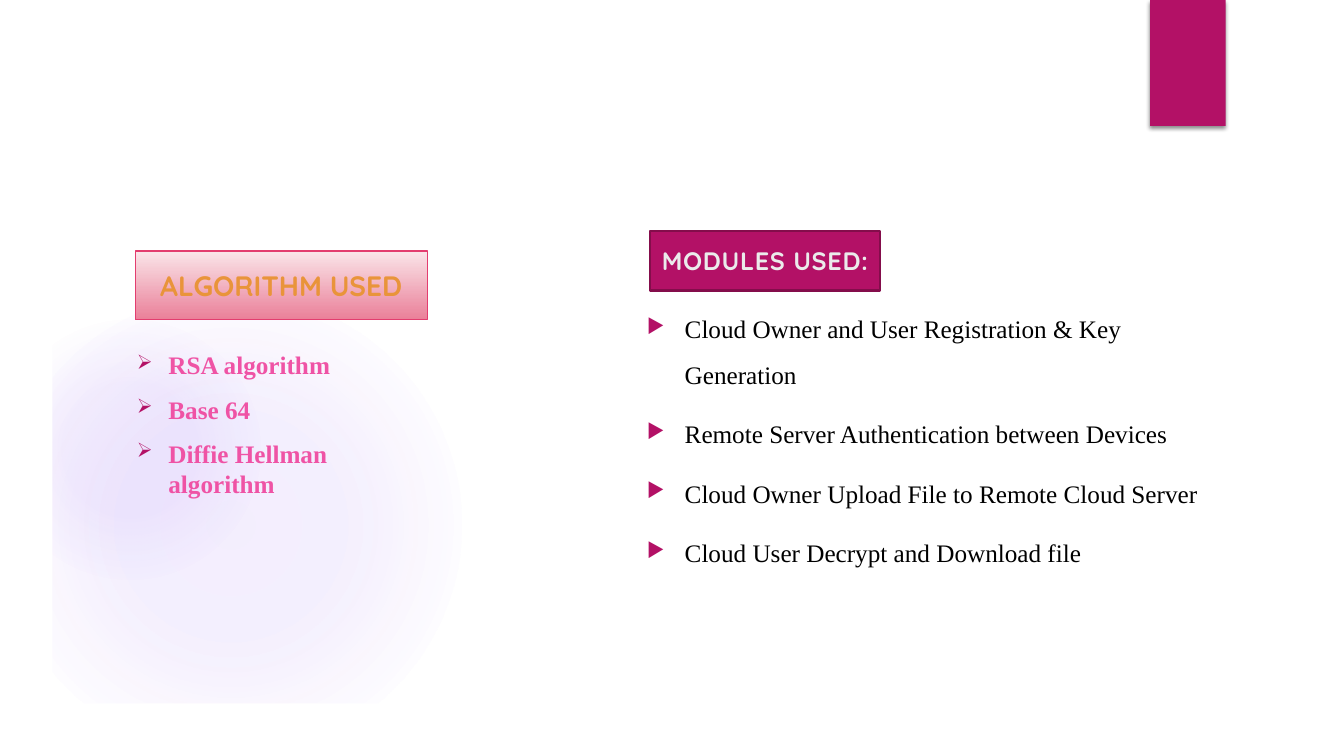
from lxml import etree
from pptx import Presentation
from pptx.dml.color import RGBColor
from pptx.enum.shapes import MSO_SHAPE
from pptx.enum.text import MSO_ANCHOR, PP_ALIGN
from pptx.oxml import parse_xml
from pptx.oxml.ns import nsdecls, qn
from pptx.util import Pt

WIDTH, HEIGHT, MARGIN = 960, 540, 37.5
MAGENTA, VIOLET, WHITE = "B31166", "9B6BF2", "FFFFFF"

GLOWS = [
    ((0, 210, 330, 330), [(0, VIOLET, 11), (36, VIOLET, 10), (75, VIOLET, 0)]),
    ((0, 228, 186, 186), [(0, VIOLET, 8), (36, VIOLET, 8), (72, VIOLET, 0)]),
]
TAB = (821.5, 0, 54, 90)
HEADINGS = [
    dict(text="ALGORITHM USED", box=(96.5, 179.3, 208.8, 49),
         stops=[(0, "FAE5E9", 100), (100, "EA8099", 100)],
         line="E33D6F", weight=0.75, size=20, color="E9943A", spacing=0),
    dict(text="MODULES USED:", box=(464.4, 165, 164.2, 42.5),
         stops=None, line="840D4B", weight=1.5, size=18, color="EBEBEB", spacing=50),
]
LISTS = [
    dict(items=["RSA algorithm", "Base 64", "Diffie Hellman algorithm"],
         box=(90.7, 246.2, 219.6, 228.2), anchor=MSO_ANCHOR.TOP, bullet="➢",
         indent=22.5, line_spacing=1, color="EF53A5", bold=True),
    dict(items=["Cloud Owner and User Registration & Key Generation",
                "Remote Server Authentication between Devices",
                "Cloud Owner Upload File to Remote Cloud Server",
                "Cloud User Decrypt and Download file"],
         box=(455, 209.3, 409, 200), anchor=MSO_ANCHOR.MIDDLE, bullet="▶",
         indent=27, line_spacing=1.5, color="000000", bold=False),
]


def rgb(value):
    return RGBColor.from_string(value)


def add_shape(kind, box, fill=WHITE, line=None, weight=1):
    sp = s.shapes.add_shape(kind, *map(Pt, box))
    sp.shadow.inherit = False
    sp.fill.solid()
    sp.fill.fore_color.rgb = rgb(fill)
    if line:
        sp.line.color.rgb = rgb(line)
        sp.line.width = Pt(weight)
    else:
        sp.line.fill.background()
    return sp


def set_gradient(sp, stops, direction):
    stop_xml = "".join(
        f'<a:gs pos="{pos * 1000}"><a:srgbClr val="{color}">'
        f'<a:alpha val="{alpha * 1000}"/></a:srgbClr></a:gs>'
        for pos, color, alpha in stops)
    gradient = parse_xml(f'<a:gradFill {nsdecls("a")} rotWithShape="1">'
                         f'<a:gsLst>{stop_xml}</a:gsLst>{direction}</a:gradFill>')
    spPr = sp._element.spPr
    spPr.replace(spPr.find(qn("a:solidFill")), gradient)


def add_text(p, text, font="Times New Roman", size=18, color="000000",
             bold=False, spacing=0):
    r = p.add_run()
    r.text = text
    r.font.name, r.font.size, r.font.bold = font, Pt(size), bold
    r.font.color.rgb = rgb(color)
    if spacing:
        r._r.get_or_add_rPr().set("spc", str(spacing))


def set_bullet(p, char, indent):
    pPr = p._p.get_or_add_pPr()
    pPr.set("marL", str(Pt(indent)))
    pPr.set("indent", str(-Pt(indent)))
    color = etree.SubElement(pPr, qn("a:buClr"))
    etree.SubElement(color, qn("a:srgbClr"), val=MAGENTA)
    etree.SubElement(pPr, qn("a:buSzPct"), val="80000")
    etree.SubElement(pPr, qn("a:buChar"), char=char)


prs = Presentation()
prs.slide_width, prs.slide_height = Pt(WIDTH), Pt(HEIGHT)
s = prs.slides.add_slide(prs.slide_layouts[6])

RADIAL = ('<a:path path="circle">'
          '<a:fillToRect l="50000" t="50000" r="50000" b="50000"/></a:path>')
DOWNWARD = '<a:lin ang="5400000" scaled="0"/>'

for box, stops in GLOWS:
    set_gradient(add_shape(MSO_SHAPE.OVAL, box), stops, RADIAL)

frame = add_shape(MSO_SHAPE.FRAME, (0, 0, WIDTH, HEIGHT))
frame.adjustments[0] = MARGIN / HEIGHT

tab = add_shape(MSO_SHAPE.RECTANGLE, TAB, MAGENTA)
tab._element.spPr.find(qn("a:effectLst")).append(parse_xml(
    f'<a:outerShdw {nsdecls("a")} blurRad="{Pt(3)}" dist="{Pt(2)}" dir="5400000" '
    'rotWithShape="0"><a:srgbClr val="000000"><a:alpha val="45000"/></a:srgbClr>'
    '</a:outerShdw>'))

for group in LISTS:
    tf = s.shapes.add_textbox(*map(Pt, group["box"])).text_frame
    tf.word_wrap = True
    tf.vertical_anchor = group["anchor"]
    for i, item in enumerate(group["items"]):
        p = tf.add_paragraph() if i else tf.paragraphs[0]
        p.line_spacing = group["line_spacing"]
        p.space_before = Pt(10)
        set_bullet(p, group["bullet"], group["indent"])
        add_text(p, item, color=group["color"], bold=group["bold"])

for heading in HEADINGS:
    sp = add_shape(MSO_SHAPE.RECTANGLE, heading["box"], MAGENTA,
                   heading["line"], heading["weight"])
    if heading["stops"]:
        set_gradient(sp, heading["stops"], DOWNWARD)
    tf = sp.text_frame
    tf.word_wrap = True
    tf.vertical_anchor = MSO_ANCHOR.MIDDLE
    p = tf.paragraphs[0]
    p.alignment = PP_ALIGN.CENTER
    add_text(p, heading["text"], font="Quicksand", size=heading["size"],
             color=heading["color"], bold=True, spacing=heading["spacing"])

prs.save("out.pptx")
